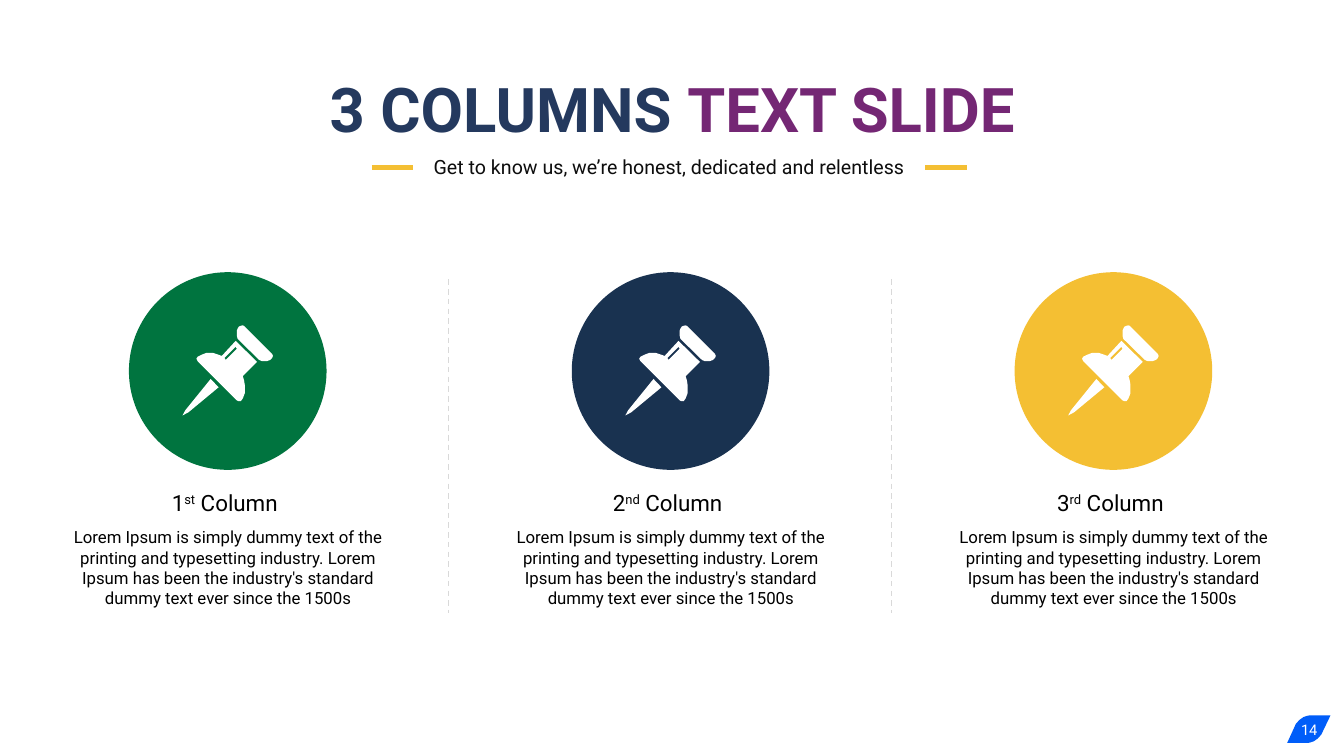
"""Builds a three-column text slide with pin icons."""
from dataclasses import dataclass

from lxml.etree import SubElement
from pptx import Presentation
from pptx.dml.color import RGBColor as Rgb
from pptx.enum.dml import MSO_LINE_DASH_STYLE as Dash
from pptx.enum.shapes import MSO_CONNECTOR_TYPE as Connector
from pptx.enum.shapes import MSO_AUTO_SHAPE_TYPE as Preset
from pptx.enum.text import MSO_ANCHOR as Anchor
from pptx.enum.text import MSO_AUTO_SIZE as Fit
from pptx.enum.text import PP_ALIGN as Align
from pptx.oxml.ns import qn
from pptx.util import Cm, Pt


@dataclass(frozen=True)
class Theme:
    font: str = "Roboto"
    navy: str = "24395E"
    purple: str = "742774"
    ink: str = "0D0D0D"
    black: str = "000000"
    white: str = "FFFFFF"
    green: str = "00743F"
    midnight: str = "193250"
    gold: str = "F4BF33"
    rule: str = "D9D9D9"
    badge: str = "005DF9"
    title_size: float = 44
    heading_size: float = 16
    subtitle_size: float = 14
    body_size: float = 12
    number_size: float = 10.5


NEEDLE = [(2.06, 2.69), (1.42, 3.48), (1.35, 3.61), (1.5, 3.53), (2.26, 2.9)]
HEAD = [(2.82, 1.35), (2.77, 1.37), (2.74, 1.42), (2.72, 1.47), (2.72, 1.6),
        (2.74, 1.68), (3.28, 2.21), (3.35, 2.24), (3.48, 2.24), (3.56, 2.21),
        (3.61, 2.16), (3.63, 2.11), (3.61, 2.06), (2.9, 1.35), (2.86, 1.34)]
SLOT = [(2.69, 1.88), (2.72, 1.93), (2.44, 2.21), (2.41, 2.16)]
BODY = [(2.69, 1.73), (2.34, 2.11), (2.26, 2.08), (2.11, 2.03), (1.96, 2.03),
        (1.83, 2.08), (1.73, 2.13), (1.7, 2.18), (1.73, 2.24), (2.72, 3.23),
        (2.76, 3.25), (2.82, 3.25), (2.87, 3.18), (2.92, 3.05), (2.92, 2.84),
        (2.9, 2.72), (2.87, 2.62), (3.23, 2.26)]
PIN = [[NEEDLE], [HEAD], [BODY, SLOT]]
BADGE = [(32.99, 18.03), (32.94, 18.04), (32.85, 18.07), (32.75, 18.14),
         (32.66, 18.24), (32.44, 18.72), (32.97, 18.72), (33.02, 18.71),
         (33.11, 18.68), (33.21, 18.61), (33.3, 18.51), (33.53, 18.03)]

LOREM = ("Lorem Ipsum is simply dummy text of the printing and typesetting "
         "industry. Lorem Ipsum has been the industry's standard dummy text "
         "ever since the 1500s")
PITCH = 11.16
CIRCLE_LEFT, CIRCLE_TOP, CIRCLE_SIZE = 3.25, 6.86, 4.98


class SlideBuilder:
    """Draws themed elements on one slide."""

    def __init__(self, slide, theme):
        self.slide = slide
        self.theme = theme

    def set_pieces(self, box, pieces, size, bold=False, anchor=Anchor.TOP, fit=Fit.NONE):
        """Fill a box with one centred paragraph of (text, colour, baseline) pieces."""
        frame = box.text_frame
        frame.word_wrap = True
        frame.auto_size = fit
        frame.vertical_anchor = anchor
        paragraph = frame.paragraphs[0]
        paragraph.alignment = Align.CENTER
        paragraph.space_before = Pt(0)
        for words, color, baseline in pieces:
            run = paragraph.add_run()
            run.text = words
            run.font.name = self.theme.font
            run.font.size = Pt(size)
            run.font.bold = bold
            run.font.color.rgb = Rgb.from_string(color)
            if baseline:
                run.font._element.set("baseline", str(baseline * 1000))

    def placeholder(self, index, area, pieces, size, **style):
        """Move a template placeholder and set its text."""
        holder = self.slide.placeholders[index]
        holder.left, holder.top, holder.width, holder.height = map(Cm, area)
        self.set_pieces(holder, pieces, size, **style)

    def text(self, area, pieces, size, **style):
        """Add a text box."""
        box = self.slide.shapes.add_textbox(*map(Cm, area))
        self.set_pieces(box, pieces, size, **style)

    def paint(self, shape, color):
        """Give a shape a flat fill without outline or shadow."""
        shape.fill.solid()
        shape.fill.fore_color.rgb = Rgb.from_string(color)
        shape.line.fill.background()
        shape.shadow.inherit = False

    def circle(self, left, top, size, color):
        """Add a filled circle."""
        disc = self.slide.shapes.add_shape(
            Preset.OVAL, Cm(left), Cm(top), Cm(size), Cm(size))
        self.paint(disc, color)

    def outline(self, shapes, contours, color, left=0, top=0):
        """Add a filled freeform made of closed contours."""
        placed = [[(Cm(left + x), Cm(top + y)) for x, y in contour]
                  for contour in contours]
        builder = shapes.build_freeform(*placed[0][0])
        builder.add_line_segments(placed[0][1:], close=True)
        for contour in placed[1:]:
            builder.move_to(*contour[0])
            builder.add_line_segments(contour[1:], close=True)
        self.paint(builder.convert_to_shape(), color)

    def pin(self, left, top):
        """Add the grouped parts of a push pin."""
        group = self.slide.shapes.add_group_shape()
        for contours in PIN:
            self.outline(group.shapes, contours, self.theme.white, left, top)

    def line(self, start, end, color, width, dash=None):
        """Add a straight line."""
        rule = self.slide.shapes.add_connector(
            Connector.STRAIGHT, *map(Cm, (*start, *end)))
        rule.line.color.rgb = Rgb.from_string(color)
        rule.line.width = Pt(width)
        if dash:
            rule.line.dash_style = dash
        SubElement(rule._element.spPr, qn("a:effectLst"))

    def column(self, index, suffix, color):
        """Add one column: circle, pin, heading and text."""
        theme, shift = self.theme, index * PITCH
        left = CIRCLE_LEFT + shift
        self.circle(left, CIRCLE_TOP, CIRCLE_SIZE, color)
        self.pin(left, CIRCLE_TOP)
        heading = [(str(index + 1), theme.black, 0), (suffix, theme.black, 30),
                   (" Column ", theme.black, 0)]
        self.text((1.81 + shift, 12.19, 7.85, 0.94), heading,
                  theme.heading_size, fit=Fit.SHAPE_TO_FIT_TEXT)
        self.text((1.56 + shift, 13.16, 8.38, 2.31), [(LOREM, theme.black, 0)],
                  theme.body_size, fit=Fit.SHAPE_TO_FIT_TEXT)


def main():
    deck = Presentation()
    deck.slide_width, deck.slide_height = Cm(33.87), Cm(19.05)
    theme = Theme()
    page = SlideBuilder(deck.slides.add_slide(deck.slide_layouts[2]), theme)

    page.placeholder(0, (2.34, 1.65, 29.21, 2.16),
                     [("3 COLUMNS ", theme.navy, 0), ("TEXT SLIDE", theme.purple, 0)],
                     theme.title_size, bold=True, anchor=Anchor.MIDDLE)
    page.placeholder(1, (2.26, 3.78, 29.21, 0.86),
                     [("Get to know us, we’re honest, dedicated and relentless",
                       theme.ink, 0)], theme.subtitle_size)
    for left in (9.37, 23.32):
        page.line((left, 4.22), (left + 1.04, 4.22), theme.gold, 3)

    columns = [("st", theme.green), ("nd", theme.midnight), ("rd", theme.gold)]
    for index, (suffix, color) in enumerate(columns):
        page.column(index, suffix, color)
    for index in range(len(columns) - 1):
        x = 11.3 + index * PITCH
        page.line((x, 7.04), (x, 15.44), theme.rule, 1, Dash.DASH)

    page.outline(page.slide.shapes, [BADGE], theme.badge)
    page.text((32.26, 17.88, 1.47, 1.02), [("14", theme.white, 0)],
              theme.number_size, anchor=Anchor.MIDDLE)
    deck.save("out.pptx")


if __name__ == "__main__":
    main()
